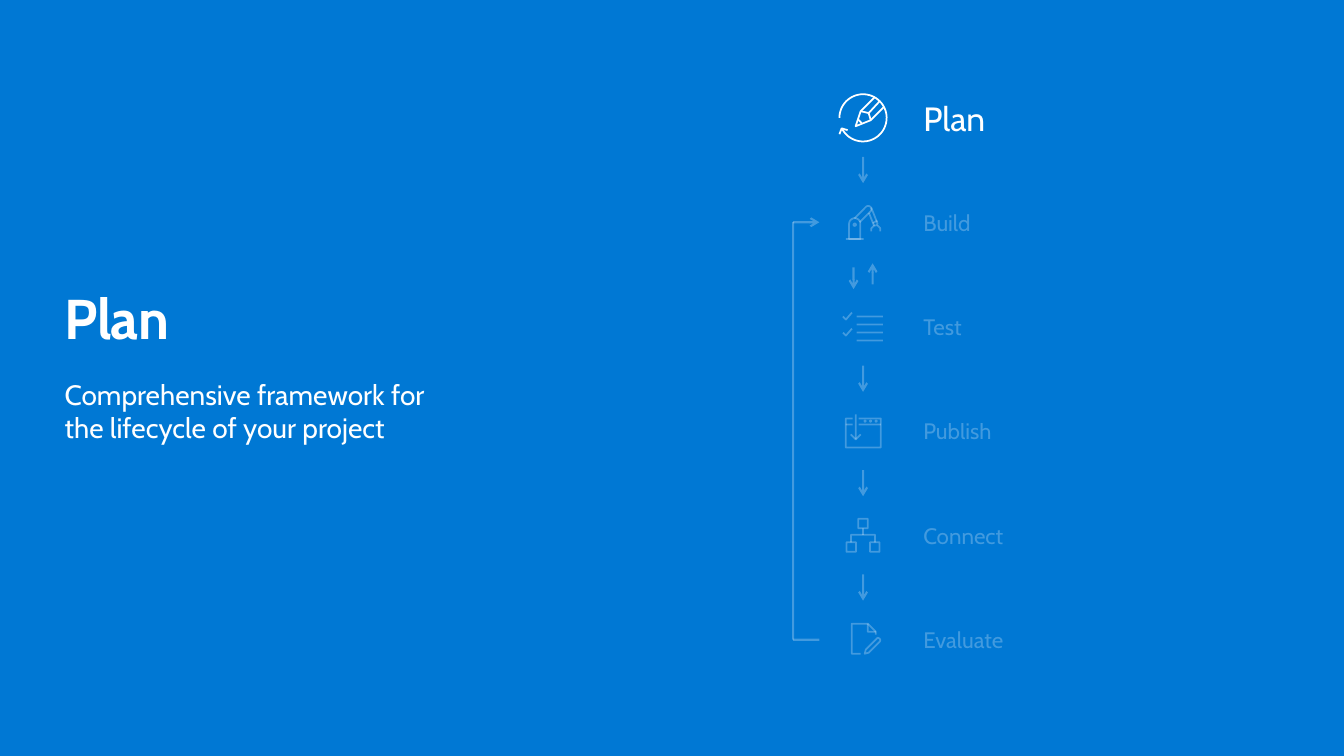
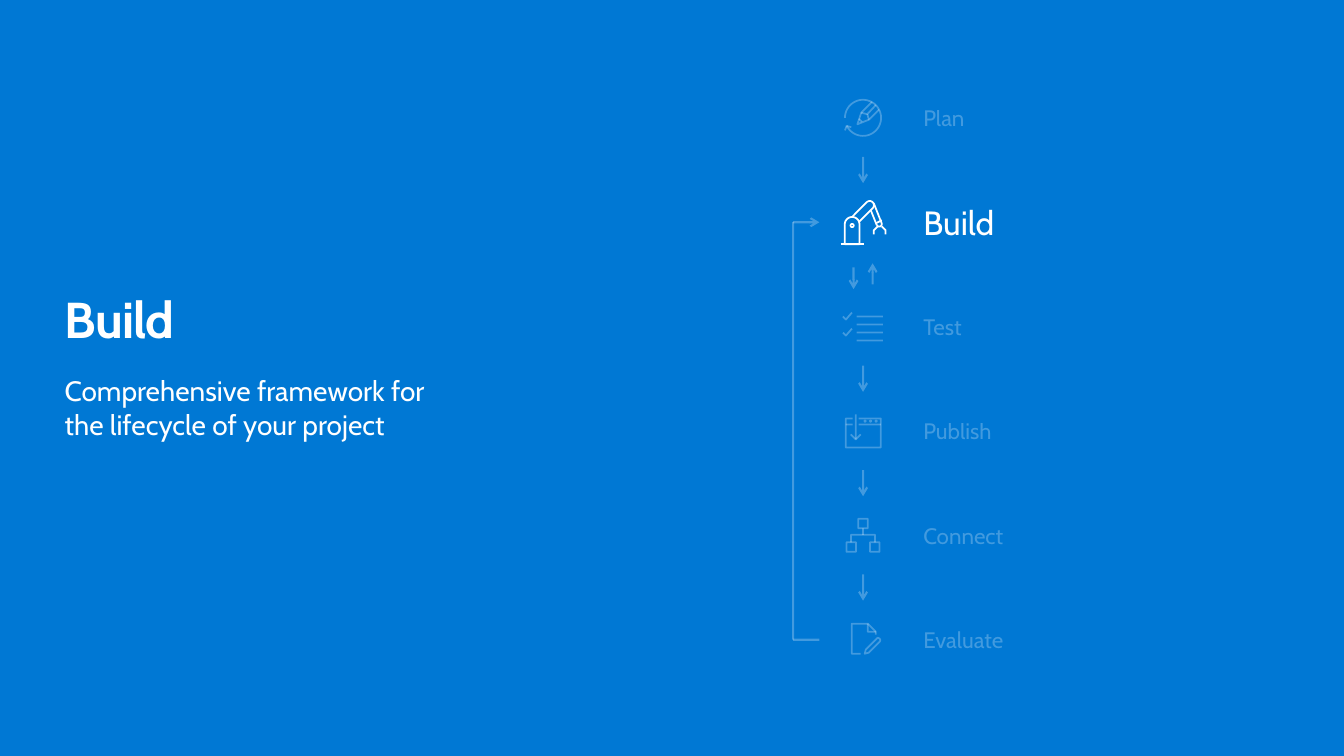
from dataclasses import dataclass
from math import cos, radians, sin

from lxml.etree import SubElement
from pptx import Presentation
from pptx.dml.color import RGBColor
from pptx.enum.shapes import MSO_CONNECTOR
from pptx.enum.text import MSO_ANCHOR
from pptx.oxml.ns import qn
from pptx.util import Cm, Pt


@dataclass(frozen=True)
class Theme:
    blue: RGBColor = RGBColor(0x00, 0x78, 0xD4)
    white: RGBColor = RGBColor(0xFF, 0xFF, 0xFF)
    faint_alpha: str = "25000"
    font: str = "Cabin"
    body_size: int = 20
    label_size: int = 16
    active_label_size: int = 24
    icon_line: float = 1.25
    arrow_line: float = 1.5


theme = Theme()


def arc(center_x, center_y, radius, start, end, steps=24):
    """Points along an arc; angles in degrees, clockwise from the right."""
    angles = [radians(start + (end - start) * i / steps) for i in range(steps + 1)]
    return [(center_x + radius * cos(a), center_y + radius * sin(a)) for a in angles]


def fade(element):
    """Make every colour inside the element mostly transparent."""
    for colour in element.iter(qn("a:srgbClr")):
        SubElement(colour, qn("a:alpha")).set("val", theme.faint_alpha)


# Icons: strokes around the icon centre, on a grid 36 units wide
icon_grid = 36
icon_size, active_icon_size = Cm(0.91), Cm(1.19)
icons = {
    "Plan": [
        arc(0, 0, 18, 180, 514, 60),
        [(-11.7, 9.4), (-16.3, 8), (-18, 12.5)],
        [(9, -15.9), (-1.8, -5.1), (-5.6, 6.4), (5.9, 1.8), (15.9, -8.2)],
        [(-1.8, -5.1), (4.3, -3.6), (12.8, -12.8)],
        [(5.9, 1.8), (4.3, -3.6)],
        [(-4, 1), (-1, 4.1)],
    ],
    "Build": [
        [(14.3, 3.1), (17.2, 6.1), (17.2, 9.2)],
        [(11.3, 3.1), (8.2, 6.1), (8.2, 9.2)],
        [(-13.9, 16.8), *arc(-8.3, 1.6, 5.6, 180, 360), (-2.7, 16.8), (-13.9, 16.8)],
        [(-17.1, 16.8), (0.5, 16.8)],
        arc(-8.3, 2.5, 1.2, 0, 360),
        [(9.7, 0.8), (14.3, -1.5)],
        [(-3.3, 0), *arc(5.1, -13, 3.2, 45, -135), (-8.6, -3.8)],
        [*arc(12.3, 1.3, 2, 150, -15), (8.2, -14.5)],
        [(10.5, 2.3), (5.9, -9.2)],
    ],
    "Test": [
        *[[(-6.3, y), (19.7, y)] for y in (-10, -2, 6, 14)],
        *[[(-20, y), (-17, y + 3), (-11, y - 4)] for y in (-10, 6)],
    ],
    "Publish": [
        [(-4.3, -12.5), (17.7, -12.5), (17.7, 16.5), (-17.3, 16.5),
         (-17.3, -12.5), (-10.3, -12.5)],
        [(-4.3, -6.5), (17.7, -6.5)],
        [(-17.3, -6.5), (-10.3, -6.5)],
        *[arc(x, -9.8, 0.6, 0, 360) for x in (2, 7.5, 13)],
        [(-12.3, 3.5), (-7.3, 8.5), (-2.3, 3.5)],
        [(-7.3, -16.5), (-7.3, 8.5)],
    ],
    "Connect": [
        *[[(x, y), (x + 9.5, y), (x + 9.5, y + 9.5), (x, y + 9.5), (x, y)]
          for x, y in ((-16.5, 7), (7, 7), (-4.75, -16.5))],
        [(0, -7), (0, -0.5)],
        [(12, 7), (12, -0.5), (-12, -0.5), (-12, 7)],
    ],
    "Evaluate": [
        [(12.7, -8), (4.7, -8), (4.7, -16)],
        [(12.7, -5), (12.7, -8), (4.7, -16), (-11.3, -16), (-11.3, 14), (-2.3, 14)],
        [(1.7, 14), (5.7, 13), (16.7, 2), (17.3, 0.5), (16.7, -1), (14.7, -2),
         (13.7, -1), (2.7, 10), (1.7, 14)],
    ],
}

# Flow geometry
first_row, row_step = Cm(2.97), Cm(2.63)
rows = [first_row + i * row_step for i in range(len(icons))]
icon_x, label_x = Cm(21.75), Cm(23.27)
label_width, label_height = Cm(4), Cm(1)
loop_left, loop_right = Cm(19.99), Cm(20.65)

# Connectors: start x, start y, end x, end y, arrowhead at the end
connectors = []
for index, row in enumerate(rows[:-1]):
    middle = row + row_step // 2
    if index == 1:
        connectors += [
            (icon_x - Cm(0.24), middle - Cm(0.18), icon_x - Cm(0.24), middle + Cm(0.37), True),
            (icon_x + Cm(0.24), middle + Cm(0.25), icon_x + Cm(0.24), middle - Cm(0.28), True),
        ]
    else:
        connectors.append((icon_x, middle - Cm(0.33), icon_x, middle + Cm(0.33), True))
connectors += [
    (loop_left, rows[1], loop_right, rows[1], True),
    (loop_left, rows[-1], loop_right, rows[-1], False),
    (loop_left, rows[1], loop_left, rows[-1], False),
]

# Slides: active step, then text boxes as top, height and (text, size, bold)
description = ("Comprehensive framework for the lifecycle of your project", theme.body_size, False)
slides = [
    ("Plan", [
        (Cm(9.5), Cm(1.7), [description]),
        (Cm(7.14), Cm(1.7), [("Plan", 40, True)]),
    ]),
    ("Build", [
        (Cm(7.24), Cm(3.89), [("Build", 36, True), description]),
    ]),
]

presentation = Presentation()
presentation.slide_width, presentation.slide_height = Cm(33.87), Cm(19.05)
background = presentation.slide_master.background.fill
background.solid()
background.fore_color.rgb = theme.blue

for active_step, text_boxes in slides:
    slide = presentation.slides.add_slide(presentation.slide_layouts[6])

    # Steps: label and icon
    for (step, strokes), row in zip(icons.items(), rows):
        active = step == active_step
        label = slide.shapes.add_textbox(
            label_x, row - label_height // 2, label_width, label_height)
        frame = label.text_frame
        frame.margin_left = frame.margin_right = frame.margin_top = frame.margin_bottom = 0
        frame.vertical_anchor = MSO_ANCHOR.MIDDLE
        frame.word_wrap = True
        frame.text = step
        font = frame.paragraphs[0].runs[0].font
        font.name = theme.font
        font.size = Pt(theme.active_label_size if active else theme.label_size)
        font.color.rgb = theme.white

        unit = (active_icon_size if active else icon_size) / icon_grid
        outlines = [[(icon_x + x * unit, row + y * unit) for x, y in stroke]
                    for stroke in strokes]
        builder = slide.shapes.build_freeform(*outlines[0][0])
        for outline in outlines:
            builder.move_to(*outline[0])
            builder.add_line_segments(outline[1:], close=False)
        icon = builder.convert_to_shape()
        icon.shadow.inherit = False
        icon.fill.background()
        icon.line.color.rgb = theme.white
        icon.line.width = Pt(theme.icon_line)
        if not active:
            fade(label.element)
            fade(icon.element)

    # Arrows between steps and the loop back
    for start_x, start_y, end_x, end_y, has_arrow in connectors:
        connector = slide.shapes.add_connector(
            MSO_CONNECTOR.STRAIGHT, start_x, start_y, end_x, end_y)
        connector.line.color.rgb = theme.white
        connector.line.width = Pt(theme.arrow_line)
        properties = connector.element.spPr
        if has_arrow:
            SubElement(properties.find(qn("a:ln")), qn("a:tailEnd")).set("type", "arrow")
        SubElement(properties, qn("a:effectLst"))
        fade(connector.element)

    # Title and description
    for top, height, paragraphs in text_boxes:
        frame = slide.shapes.add_textbox(Cm(1.63), top, Cm(9.68), height).text_frame
        frame.margin_left = frame.margin_right = frame.margin_top = frame.margin_bottom = 0
        frame.vertical_anchor = MSO_ANCHOR.MIDDLE
        frame.word_wrap = True
        for index, (text, size, bold) in enumerate(paragraphs):
            paragraph = frame.add_paragraph() if index else frame.paragraphs[0]
            paragraph.text = text
            if index:
                paragraph.space_before = Pt(18)
            run = paragraph.runs[0]
            run.font.name = theme.font
            run.font.size = Pt(size)
            run.font.bold = bold
            run.font.color.rgb = theme.white
            if bold:
                run.font._element.set("spc", "-50")

presentation.save("out.pptx")
